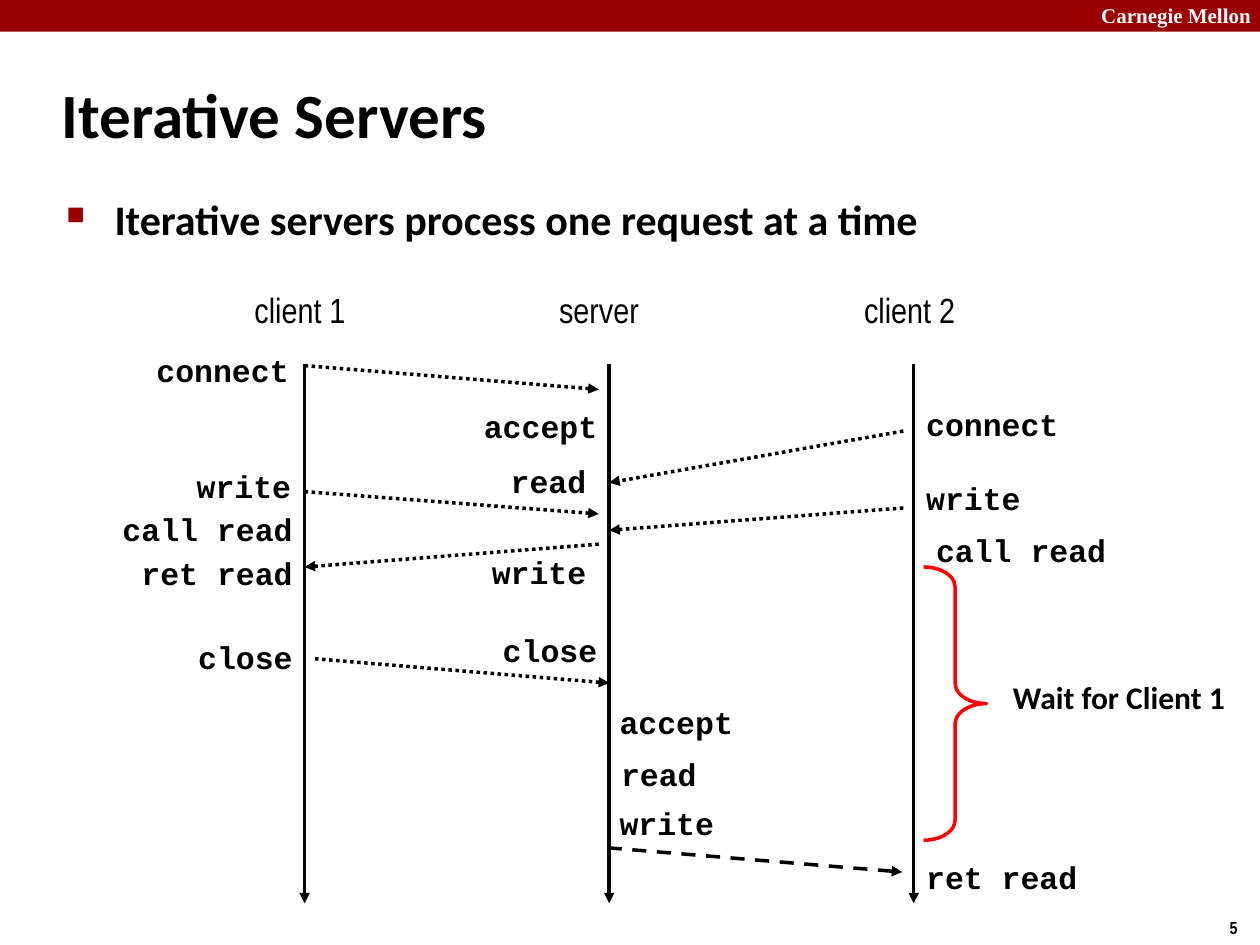
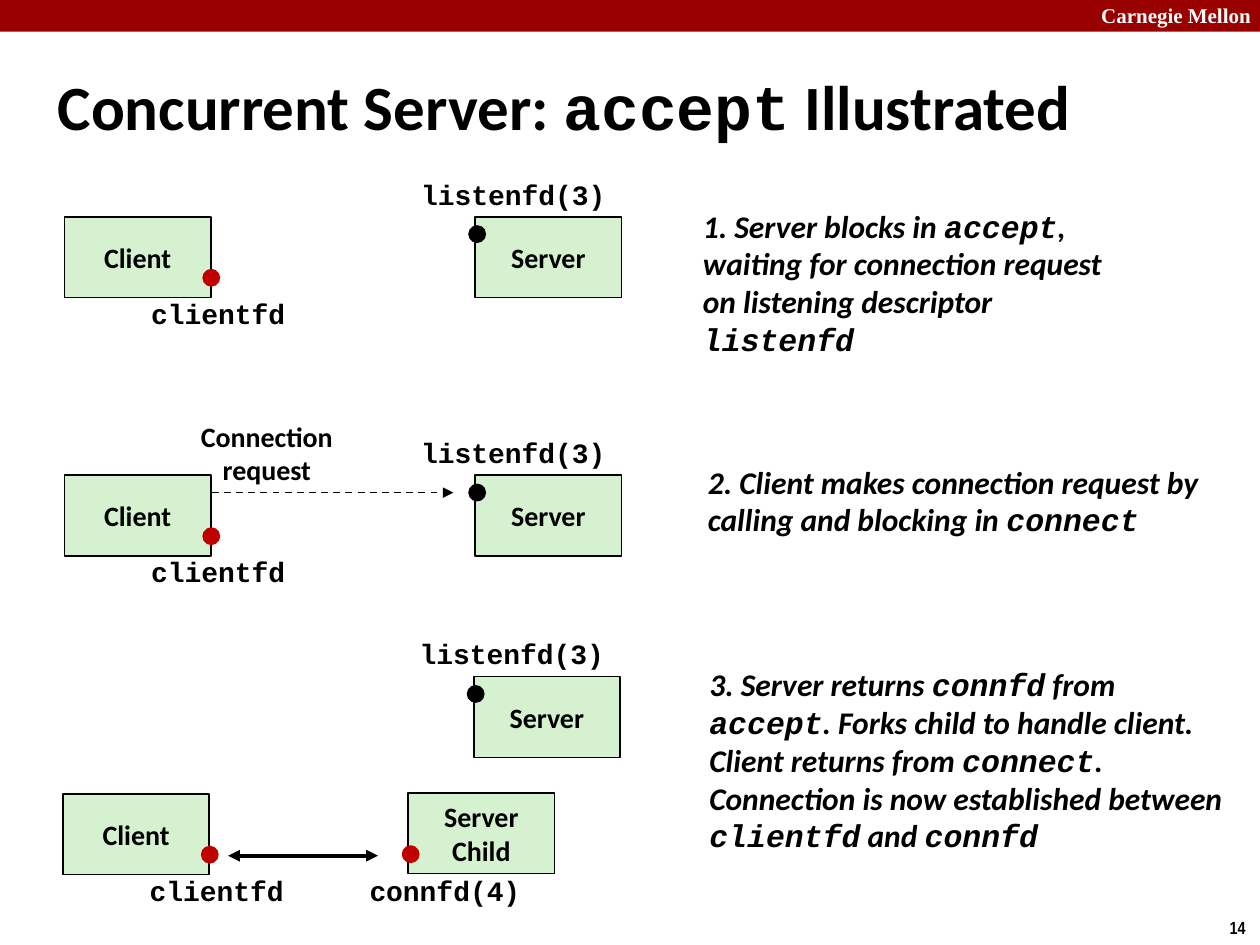
from pptx import Presentation
from pptx.dml.color import RGBColor
from pptx.enum.dml import MSO_LINE
from pptx.enum.shapes import MSO_CONNECTOR, MSO_SHAPE
from pptx.enum.text import MSO_ANCHOR, MSO_AUTO_SIZE, PP_ALIGN
from pptx.oxml.ns import qn
from pptx.util import Cm, Pt
from lxml import etree

LEFT, CENTER, RIGHT = PP_ALIGN.LEFT, PP_ALIGN.CENTER, PP_ALIGN.RIGHT
TOP, MIDDLE = MSO_ANCHOR.TOP, MSO_ANCHOR.MIDDLE
NO_FIT, GROW = MSO_AUTO_SIZE.NONE, MSO_AUTO_SIZE.SHAPE_TO_FIT_TEXT
DOTTED, DASHED = MSO_LINE.ROUND_DOT, MSO_LINE.DASH
RECTANGLE, OVAL, BRACE = MSO_SHAPE.RECTANGLE, MSO_SHAPE.OVAL, MSO_SHAPE.RIGHT_BRACE
STRAIGHT = MSO_CONNECTOR.STRAIGHT
TITLE_ONLY = 5

COLORS = {
    "band": "990000", "text": "000000", "white": "FFFFFF",
    "node": "D5F1CF", "socket": "C00000", "wait": "FF0000",
}
BODY, CODE, NARROW, SERIF = "Calibri", "Courier New", "Arial Narrow", "Times New Roman"

TITLE = {"size": 36, "bold": True}
BULLET = {"size": 24, "bold": True}
HEADING = {"size": 20, "name": NARROW}
CALL = {"size": 18, "bold": True, "name": CODE}
NOTE = {"size": 18, "bold": True}
CAPTION = {"size": 18, "bold": True, "italic": True}
NODE = {"size": 16, "bold": True}
DESCRIPTOR = {"size": 16, "bold": True, "name": CODE}
HEADER = {"size": 12, "bold": True, "name": SERIF, "color": "white"}
NUMBER = {"size": 10, "bold": True, "name": NARROW}

LIFELINES = [6.14 * step for step in (1, 2, 3)]
LIFELINE_TOP, LIFELINE_END = 7.34, 18.21
HEADINGS = [("client 1", 4.88, 2.36), ("server", 11.02, 2.13), ("client 2", 17.17, 2.36)]

# Text, right edge, top
CALLS_LEFT_OF_LINE = [
    ("connect", 6.07, 6.96), ("write", 6.12, 9.3), ("call read", 6.15, 10.16),
    ("ret read", 6.15, 11.05), ("close", 6.15, 12.73),
    ("accept", 12.29, 8.08), ("read", 12.07, 9.19),
    ("write", 12.07, 11.02), ("close", 12.29, 12.6),
]
# Text, left edge, top
CALLS_RIGHT_OF_LINE = [
    ("accept", 12.24, 14.05), ("read", 12.27, 15.09), ("write", 12.24, 16.08),
    ("connect", 18.42, 8.05), ("write", 18.42, 9.53),
    ("call read", 18.62, 10.59), ("ret read", 18.42, 17.17),
]
MESSAGES = [
    ((6.14, 7.37), (12.07, 7.85), DOTTED),
    ((18.21, 8.69), (12.28, 9.73), DOTTED),
    ((6.14, 9.91), (12.07, 10.36), DOTTED),
    ((18.21, 10.24), (12.28, 10.69), DOTTED),
    ((12.07, 10.97), (6.14, 11.43), DOTTED),
    ((6.35, 13.28), (12.28, 13.77), DOTTED),
    ((12.25, 17.09), (18.19, 17.58), DASHED),
]

# Offsets are measured from the top left corner of the node
NODE_KINDS = {
    "client": {"lines": ["Client"], "descriptor": "clientfd", "color": "socket",
               "dot": (2.78, 1.05), "label": (1.49, 1.47)},
    "server": {"lines": ["Server"], "descriptor": "listenfd(3)", "color": "text",
               "dot": (-0.14, 0.17), "label": (-1.35, -0.93)},
    "child": {"lines": ["Server", "Child"], "descriptor": "connfd(4)", "color": "socket",
              "dot": (-0.13, 1.06), "label": (-1.04, 1.5)},
}
NODES = [
    ("client", 1.3, 4.37), ("server", 9.58, 4.37),
    ("client", 1.3, 9.58), ("server", 9.58, 9.58),
    ("server", 9.55, 13.64), ("client", 1.27, 16), ("child", 8.23, 15.98),
]
# Words between backticks are code
CAPTIONS = [
    ("1. Server blocks in `accept`, waiting for connection request on listening "
     "descriptor `listenfd`", (13.92, 4.04, 9.14, 3.3)),
    ("2. Client makes connection request by calling and blocking in `connect`",
     (14.02, 9.19, 10.74, 1.8)),
    ("3. Server returns `connfd` from `accept`. Forks child to handle client. "
     "Client returns from `connect`. Connection is now established between "
     "`clientfd` and `connfd`", (14.05, 13.26, 11.15, 4.11)),
]


def rgb(name):
    return RGBColor.from_string(COLORS[name])


def lengths(values):
    return [Cm(value) for value in values]


def code_width(text, size):
    """Width in cm of a box that holds one line of monospaced text."""
    return round(len(text) * size * 0.6 / 72 * 2.54 + 0.51, 2)


def write(frame, lines, style, align=LEFT):
    """Fill a text frame, setting words between backticks in the code font."""
    font_values = {"name": BODY, "bold": False, "italic": False, **style}
    color = font_values.pop("color", "text")
    font_values["size"] = Pt(style["size"])
    for index, line in enumerate(lines):
        para = frame.add_paragraph() if index else frame.paragraphs[0]
        para.alignment = align
        for position, words in enumerate(line.split("`")):
            if not words:
                continue
            span = para.add_run()
            span.text = words
            for key, value in font_values.items():
                setattr(span.font, key, value)
            if position % 2:
                span.font.name = CODE
            span.font.color.rgb = rgb(color)


def add_text(page, lines, place, style, align=LEFT, anchor=TOP, wrap=False, fit=GROW):
    box = page.shapes.add_textbox(*lengths(place))
    frame = box.text_frame
    frame.word_wrap, frame.auto_size, frame.vertical_anchor = wrap, fit, anchor
    write(frame, lines, style, align)
    return box


def add_solid(page, kind, place, fill=None, line=None, width=1):
    shape = page.shapes.add_shape(kind, *lengths(place))
    shape.shadow.inherit = False
    for part, color in ((shape.fill, fill), (shape.line.fill, line)):
        if color:
            part.solid()
            part.fore_color.rgb = rgb(color)
        else:
            part.background()
    if line:
        shape.line.width = Pt(width)
    return shape


def add_arrow(page, start, end, width=2, dash=None, ends=("tailEnd",)):
    arrow = page.shapes.add_connector(STRAIGHT, *lengths((*start, *end)))
    arrow.line.color.rgb = rgb("text")
    arrow.line.width = Pt(width)
    if dash:
        arrow.line.dash_style = dash
    properties = arrow.element.spPr
    outline = properties.find(qn("a:ln"))
    for tag in ends:
        etree.SubElement(outline, qn(f"a:{tag}"), type="triangle")
    etree.SubElement(properties, qn("a:effectLst"))


def add_bullet(para):
    properties = para._p.get_or_add_pPr()
    properties.set("marL", str(Cm(0.97)))
    properties.set("indent", str(-Cm(0.97)))
    bullet_color = etree.SubElement(properties, qn("a:buClr"))
    etree.SubElement(bullet_color, qn("a:srgbClr"), val=COLORS["band"])
    etree.SubElement(properties, qn("a:buSzPct"), val="60000")
    etree.SubElement(properties, qn("a:buChar"), char="■")


def add_page(deck, title, title_place, number):
    """Add a slide with the shared band, header, page number and title style."""
    page = deck.slides.add_slide(deck.slide_layouts[TITLE_ONLY])
    add_solid(page, RECTANGLE, (0, 0, 25.4, 0.64), fill="band")
    add_text(page, ["Carnegie Mellon"], (21.95, -0.08, 3.63, 0.76), HEADER, wrap=True)
    add_text(page, [str(number)], (24.54, 18.36, 0.86, 0.69), NUMBER)
    heading = page.shapes.title
    heading.left, heading.top, heading.width, heading.height = lengths(title_place)
    frame = heading.text_frame
    frame.auto_size, frame.vertical_anchor = NO_FIT, MIDDLE
    write(frame, [title], TITLE)
    return page


def add_call(page, text, edge, top, align):
    width = code_width(text, CALL["size"])
    left = edge - width if align == RIGHT else edge
    add_text(page, [text], (left, top, width, 1.02), CALL, align)


def add_node(page, kind, left, top):
    """Draw a process with its socket dot and descriptor name."""
    node = NODE_KINDS[kind]
    box = add_solid(page, RECTANGLE, (left, top, 2.95, 1.63), "node", "text")
    box.text_frame.word_wrap = False
    box.text_frame.vertical_anchor = MIDDLE
    write(box.text_frame, node["lines"], NODE, CENTER)
    dot_x, dot_y = node["dot"]
    add_solid(page, OVAL, (left + dot_x, top + dot_y, 0.36, 0.36), node["color"])
    label_x, label_y = node["label"]
    width = code_width(node["descriptor"], DESCRIPTOR["size"])
    add_text(page, [node["descriptor"]], (left + label_x, top + label_y, width, 0.94),
             DESCRIPTOR, CENTER, MIDDLE)


def build_iterative(deck):
    page = add_page(deck, "Iterative Servers", (0.99, 1.22, 21.08, 2.11), 5)
    body = add_text(page, ["Iterative servers process one request at a time"],
                    (1.09, 3.78, 21.95, 13.82), BULLET, wrap=True, fit=NO_FIT)
    add_bullet(body.text_frame.paragraphs[0])
    for text, left, width in HEADINGS:
        add_text(page, [text], (left, 5.69, width, 1.12), HEADING)
    for x in LIFELINES:
        add_arrow(page, (x, LIFELINE_TOP), (x, LIFELINE_END))
    for start, end, dash in MESSAGES:
        add_arrow(page, start, end, dash=dash)
    for calls, align in ((CALLS_LEFT_OF_LINE, RIGHT), (CALLS_RIGHT_OF_LINE, LEFT)):
        for text, edge, top in calls:
            add_call(page, text, edge, top, align)
    brace = add_solid(page, BRACE, (18.62, 11.43, 1.27, 5.51), line="wait", width=2)
    brace.adjustments[0] = 0.32
    add_text(page, ["Wait for Client 1"], (20.17, 13.54, 4.83, 1.02), NOTE)


def build_concurrent(deck):
    page = add_page(deck, "Concurrent Server: `accept` Illustrated",
                    (0.91, 1.32, 23.29, 1.6), 14)
    for kind, left, top in NODES:
        add_node(page, kind, left, top)
    add_text(page, ["Connection", "request"], (3.78, 8.31, 3.2, 1.63), NODE, CENTER, MIDDLE)
    add_arrow(page, (4.27, 9.93), (9.14, 9.93), width=1, dash=DASHED)
    add_arrow(page, (4.6, 17.25), (7.62, 17.25), width=2.25, ends=("headEnd", "tailEnd"))
    for text, place in CAPTIONS:
        add_text(page, [text], place, CAPTION, anchor=MIDDLE, wrap=True)


def main():
    deck = Presentation()
    deck.slide_width, deck.slide_height = Cm(25.4), Cm(19.05)
    build_iterative(deck)
    build_concurrent(deck)
    deck.save("out.pptx")


if __name__ == "__main__":
    main()
